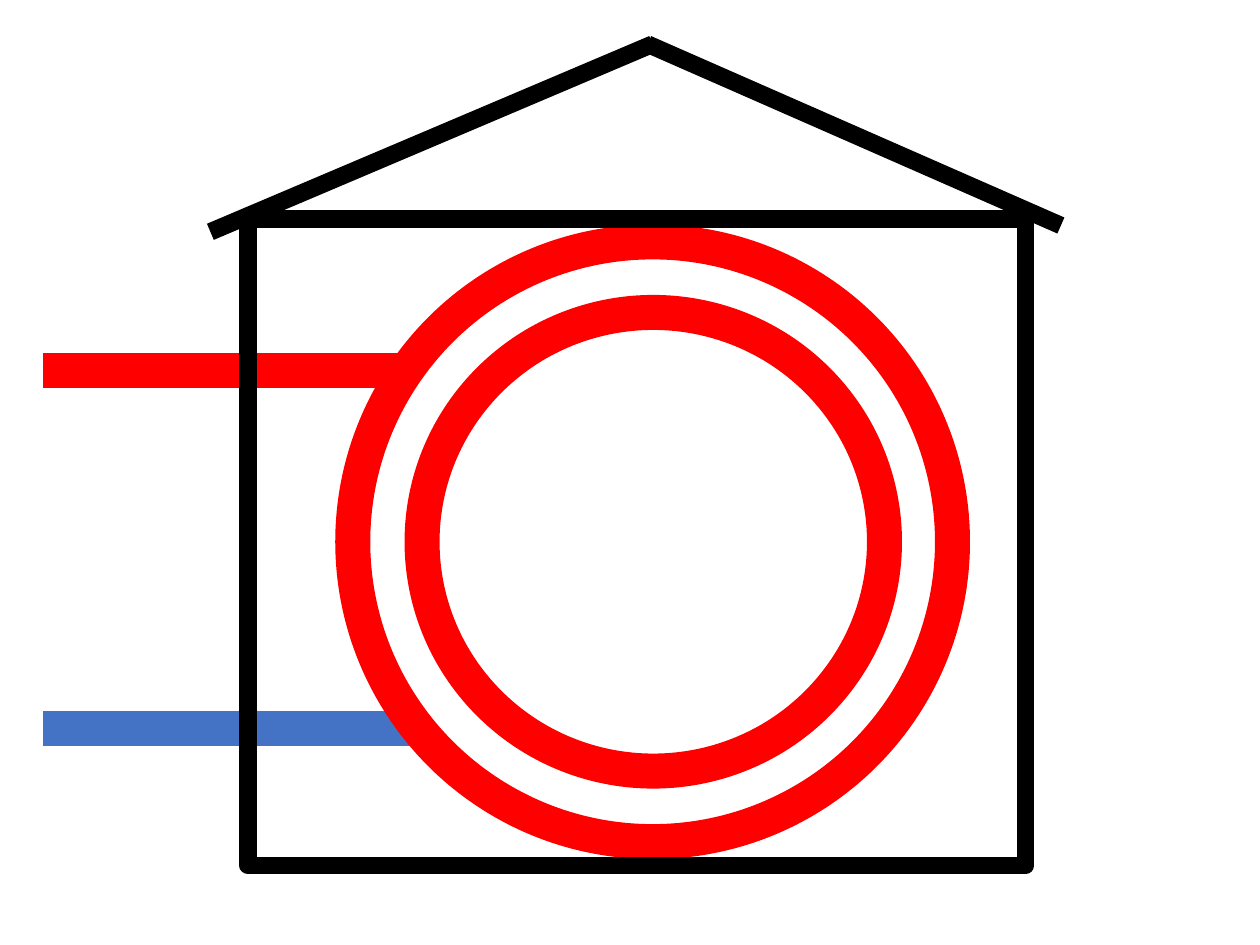
from lxml.etree import SubElement
from pptx import Presentation
from pptx.dml.color import RGBColor
from pptx.enum.shapes import MSO_CONNECTOR, MSO_SHAPE
from pptx.oxml.ns import qn
from pptx.util import Inches, Pt

COLORS = {"hot": "FF0000", "cold": "4472C4", "wall": "000000"}
PIPE_WIDTH = Pt(20)
WALL_WIDTH = Pt(10)

deck = Presentation()
deck.slide_width, deck.slide_height = Inches(10), Inches(7.5)
page = deck.slides.add_slide(deck.slide_layouts[6])


def add_line(start, end, color, width):
    line = page.shapes.add_connector(
        MSO_CONNECTOR.STRAIGHT, *(Inches(value) for value in (*start, *end)))
    line.line.color.rgb = RGBColor.from_string(COLORS[color])
    line.line.width = width
    SubElement(line._element.spPr, qn("a:effectLst"))


def add_outline(kind, bounds, color, width):
    shape = page.shapes.add_shape(kind, *(Inches(value) for value in bounds))
    shape.shadow.inherit = False
    shape.fill.background()
    shape.line.color.rgb = RGBColor.from_string(COLORS[color])
    shape.line.width = width


# Cold pipe, behind the coil
add_line((0.34, 5.78), (3.26, 5.78), "cold", PIPE_WIDTH)

# Heating coil: outer and inner rings
for ring in ((2.8, 1.92, 4.76, 4.76), (3.35, 2.48, 3.67, 3.64)):
    add_outline(MSO_SHAPE.OVAL, ring, "hot", PIPE_WIDTH)

# Hot pipe
add_line((0.34, 2.94), (3.19, 2.94), "hot", PIPE_WIDTH)

# House walls and roof
add_outline(MSO_SHAPE.RECTANGLE, (1.97, 1.74, 6.17, 5.13), "wall", WALL_WIDTH)
add_line((1.67, 1.84), (5.18, 0.35), "wall", WALL_WIDTH)
add_line((5.14, 0.35), (8.42, 1.79), "wall", WALL_WIDTH)

deck.save("out.pptx")
